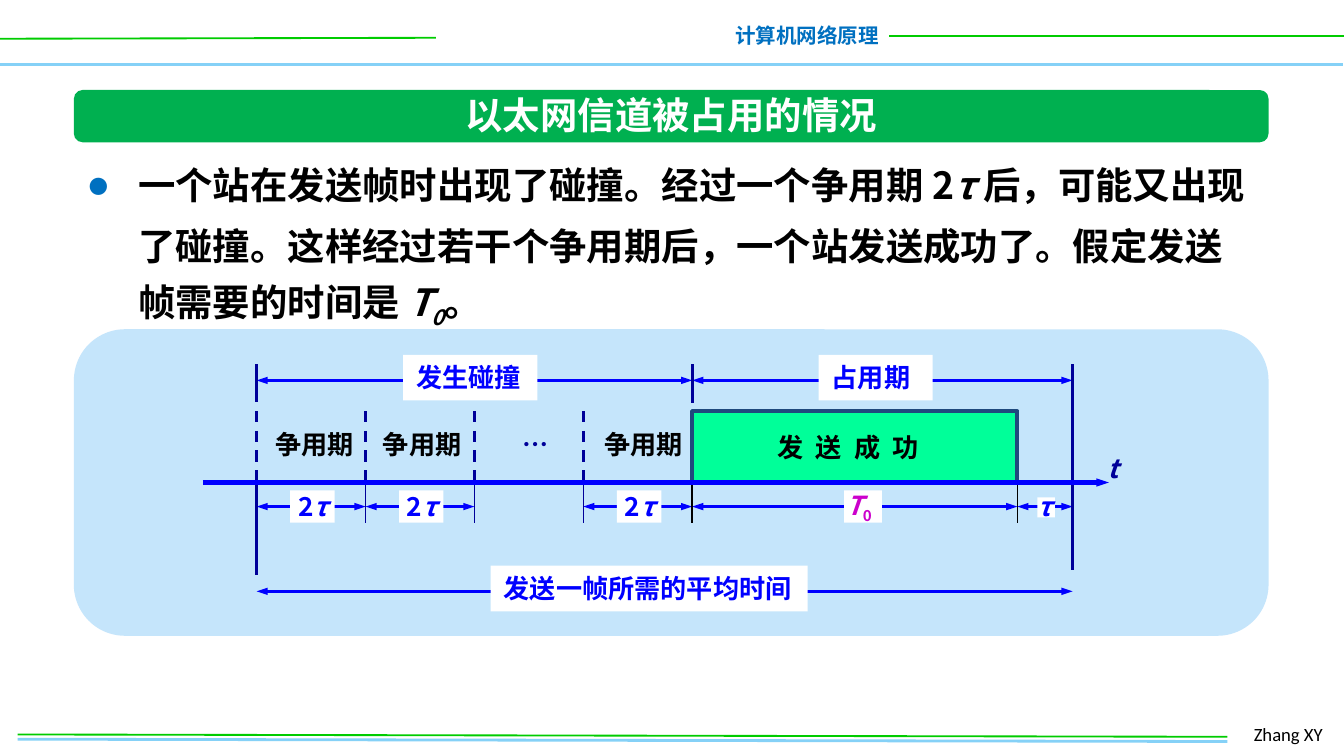
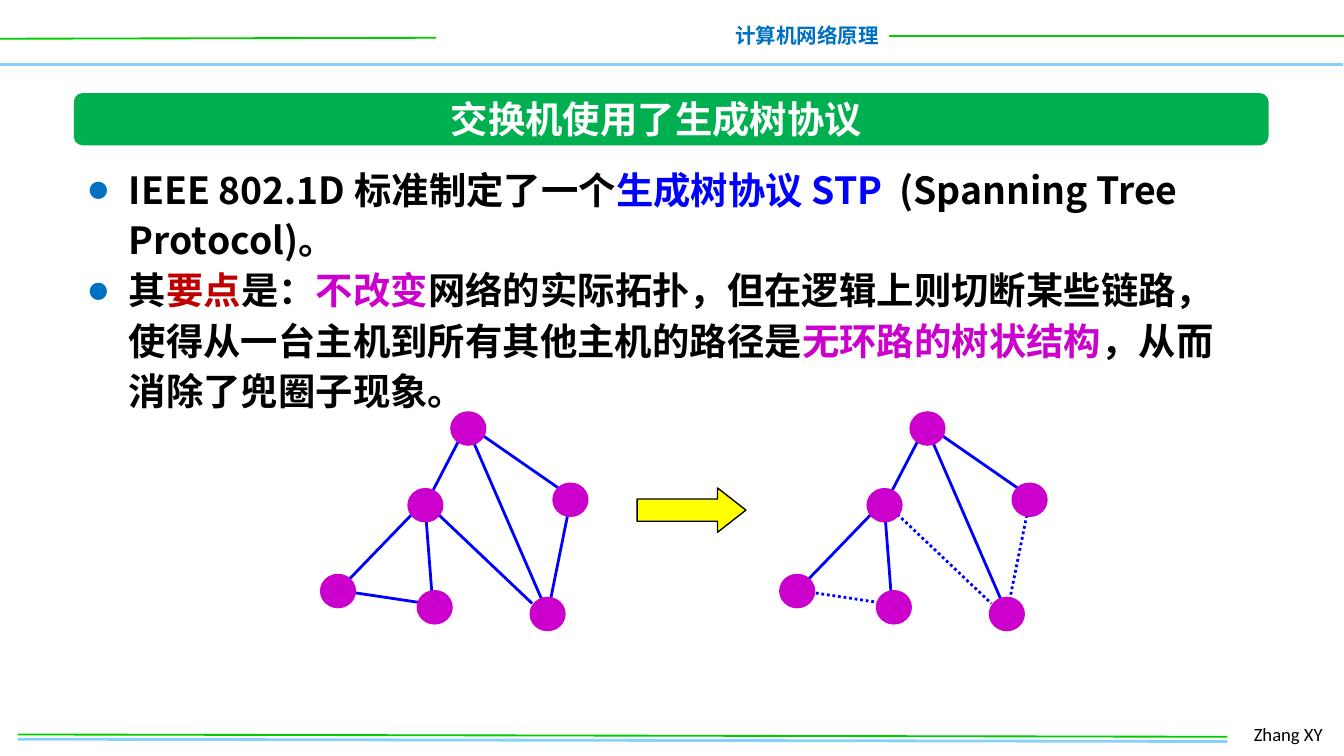
from dataclasses import dataclass

from lxml.etree import SubElement
from pptx import Presentation
from pptx.dml.color import RGBColor
from pptx.enum.dml import MSO_LINE
from pptx.enum.shapes import MSO_CONNECTOR, MSO_SHAPE
from pptx.enum.text import MSO_ANCHOR, PP_ALIGN
from pptx.oxml.ns import qn
from pptx.util import Pt


@dataclass(frozen=True)
class Theme:
    font: str = "Noto Sans CJK SC"
    footer_font: str = "Calibri"
    black: str = "000000"
    white: str = "FFFFFF"
    blue: str = "0000FF"
    navy: str = "000099"
    magenta: str = "CC00CC"
    red: str = "C00000"
    header_blue: str = "0070C0"
    rule_green: str = "00CC00"
    rule_blue: str = "85D1F7"
    title_green: str = "00B050"
    panel: str = "C5E5FB"
    frame_fill: str = "00FF99"
    frame_line: str = "1F497D"
    yellow: str = "FFFF00"
    body_size: float = 20
    label_size: float = 14
    header_size: float = 11
    footer_size: float = 10


THEME = Theme()

# Shared header and footer: start, end, colour, width
RULES = [
    ((-0.5, 34.5), (719.5, 34.5), THEME.rule_blue, 2),
    ((0, 20.75), (233.5, 20.25), THEME.rule_green, 1),
    ((476.5, 19.5), (720.5, 19.5), THEME.rule_green, 1),
    ((9.5, 396), (657.5, 397.25), THEME.rule_blue, 1.5),
    ((9.5, 393.5), (657.5, 394.75), THEME.rule_green, 1),
]
COURSE, AUTHOR = "计算机网络原理", "Zhang XY"

# A run is its text and what differs from the style of its box
ITALIC = {"italic": True}
CHANNEL = {
    "title": "以太网信道被占用的情况",
    "title_box": (241.2, 46.1, 236.9, 31.7),
    "bar_top": 48.25,
    "body_box": (39.6, 74.2, 640, 107.3),
    "indent": 27.36,
    "line_spacing": 33,
    "body": [[
        ("一个站在发送帧时出现了碰撞。经过一个争用期 2", {}),
        ("τ ", ITALIC),
        ("后，可能又出现了碰撞。这样经过若干个争用期后，一个站发送成功了。"
         "假定发送帧需要的时间是 ", {}),
        ("T", ITALIC),
        ("0", {"italic": True, "subscript": True}),
        ("。", {}),
    ]],
}
SPANNING_TREE = {
    "title": "交换机使用了生成树协议",
    "title_box": (233.3, 48.2, 236.9, 31.7),
    "bar_top": 49.9,
    "body_box": (39.6, 82.8, 637.2, 143.3),
    "indent": 22.32,
    "line_spacing": 27,
    "body": [
        [
            ("IEEE 802.1D 标准制定了一个", {}),
            ("生成树协议 STP  ", {"color": THEME.blue}),
            ("(Spanning Tree Protocol)。", {}),
        ],
        [
            ("其", {}),
            ("要点", {"color": THEME.red}),
            ("是：", {}),
            ("不改变", {"color": THEME.magenta}),
            ("网络的实际拓扑，但在逻辑上则切断某些链路，"
             "使得从一台主机到所有其他主机的路径是", {}),
            ("无环路的树状结构", {"color": THEME.magenta}),
            ("，从而消除了兜圈子现象。", {}),
        ],
    ],
}

# Time line: horizontal positions of the slots and vertical positions of the rows
SLOT = 58.33
SLOT_STARTS = [137.5 + SLOT * number for number in range(4)]
START = SLOT_STARTS[0]
FRAME_START, FRAME_END, END = START + 4 * SLOT, 545, 574.6
TOP, FRAME_TOP, AXIS, TICK_END = 195.1, 220.3, 258.5, 280.1
PHASE_ROW, SLOT_ROW, TOTAL_ROW = 203.8, 271.4, 316.8
CONTENTION = {0: 2.9, 1: 2.2, 3: 4.3}  # slot number: label offset

SPANS = [
    (START, END, TOTAL_ROW),
    (START, FRAME_START, PHASE_ROW),
    (FRAME_START, END, PHASE_ROW),
    (FRAME_END, END, SLOT_ROW),
    (FRAME_START, FRAME_END, SLOT_ROW),
] + [(SLOT_STARTS[n], SLOT_STARTS[n] + SLOT, SLOT_ROW) for n in CONTENTION]

TICKS = [(x, FRAME_TOP, AXIS, THEME.navy, 1.5, MSO_LINE.DASH) for x in SLOT_STARTS]
TICKS += [(x, AXIS, TICK_END, THEME.navy, 0.75, None) for x in SLOT_STARTS[1:]]
TICKS += [(x, AXIS, TICK_END, THEME.black, 0.75, None) for x in (FRAME_START, FRAME_END)]
TICKS += [(x, top, bottom, THEME.navy, 1.5, None) for x, top, bottom in [
    (START, TOP, 215.3), (START, 257, 308.2), (FRAME_START, TOP, 216),
    (END, TOP, AXIS), (END, AXIS, 305.3)]]

LABEL_HEIGHT = 24.5
PATCHES = [(555.8, 266.4, 9.4, 10.8), (452.2, 262.8, 20.2, 17.3)]
PATCHES += [(SLOT_STARTS[n] + 18, 262.8, 23.8, 17.3) for n in CONTENTION]

# Runs, left, top, width, colour, white background
LABELS = [
    ([("占用期", {})], 438.5, 190.1, 61.2, THEME.blue, True),
    ([("发生碰撞", {})], 216, 190.1, 72, THEME.blue, True),
    ([("发送一帧所需的平均时间", {})], 262.8, 303.1, 169.9, THEME.blue, True),
    ([("发  送  成  功", {})], 409.7, 227.5, 100, THEME.black, False),
    ([("…", {})], 272.9, 226.1, 28, THEME.navy, False),
    ([("T", ITALIC), ("0", {"subscript": True})], 446.4, 258.5, 29.5, THEME.magenta, False),
    ([("τ", ITALIC)], 548.6, 259.2, 20.9, THEME.blue, False),
    ([("t", ITALIC)], 586.1, 239, 20.2, THEME.navy, False),
]
for number, offset in CONTENTION.items():
    left = SLOT_STARTS[number]
    LABELS.append(([("争用期", {})], left + offset, 226.1, 61.2, THEME.black, False))
    LABELS.append(([("2", {}), ("τ", ITALIC)], left + 15.1, 259.2, 33.8, THEME.blue, False))

# Network: node corners, then links with a flag for those the protocol cuts
NODE_SIZE = (19.4, 18.5)
NODES = [(241.2, 220.3), (295.9, 258.5), (283.7, 319.7),
         (171.4, 307.4), (223.2, 316.1), (218.2, 261.4)]
LINKS = [
    ((249.1, 229.7), (228.2, 270), False),
    ((253.4, 229.7), (305.3, 265.7), False),
    ((228.2, 269.3), (285.1, 323.3), True),
    ((305.3, 270), (293.8, 326.9), True),
    ((253.4, 236.2), (290.2, 321.1), False),
    ((185, 312.5), (223.2, 272.9), False),
    ((231.8, 323.3), (227.5, 267.8), False),
    ((228.2, 323.3), (185, 316.8), True),
]
TREE_SHIFT = 246
ARROW_BOX = (341.3, 261.4, 58.3, 23.8)


def points(values):
    return [Pt(value) for value in values]


def rgb(color):
    return RGBColor.from_string(color)


def paint(shape, fill, line=None, width=0.75):
    shape.shadow.inherit = False
    shape.fill.solid()
    shape.fill.fore_color.rgb = rgb(fill)
    if line:
        shape.line.color.rgb = rgb(line)
        shape.line.width = Pt(width)
    else:
        shape.line.fill.background()


def add_block(shapes, kind, box, fill, line=None):
    shape = shapes.add_shape(kind, *points(box))
    paint(shape, fill, line)
    return shape


def add_line(shapes, start, end, color, width, dash=None, arrows=()):
    """Draw a line; arrows holds "headEnd" and/or "tailEnd", in that order."""
    connector = shapes.add_connector(MSO_CONNECTOR.STRAIGHT, *points(start + end))
    connector.line.color.rgb = rgb(color)
    connector.line.width = Pt(width)
    if dash:
        connector.line.dash_style = dash
    properties = connector._element.spPr
    for arrow in arrows:
        SubElement(properties.find(qn("a:ln")), qn(f"a:{arrow}"),
                   type="triangle", w="sm", len="med")
    SubElement(properties, qn("a:effectLst"))


def add_runs(paragraph, runs, size, color, bold=True, font=THEME.font):
    for text, style in runs:
        run = paragraph.add_run()
        run.text = text
        run.font.size = Pt(size)
        run.font.bold = bold
        run.font.italic = style.get("italic", False)
        run.font.color.rgb = rgb(style.get("color", color))
        run.font.name = font
        properties = run.font._element
        SubElement(properties, qn("a:ea"), typeface=font)
        if style.get("subscript"):
            properties.set("baseline", "-25000")


def add_text(shapes, box, runs, size, color, align=PP_ALIGN.LEFT, **style):
    text_box = shapes.add_textbox(*points(box))
    text_box.text_frame.word_wrap = False
    text_box.text_frame.vertical_anchor = MSO_ANCHOR.TOP
    paragraph = text_box.text_frame.paragraphs[0]
    paragraph.alignment = align
    add_runs(paragraph, runs, size, color, **style)
    return text_box


def add_bullet(paragraph, indent):
    properties = paragraph._p.get_or_add_pPr()
    properties.set("marL", str(Pt(indent)))
    properties.set("indent", str(-Pt(indent)))
    bullet_color = SubElement(properties, qn("a:buClr"))
    SubElement(bullet_color, qn("a:srgbClr"), val=THEME.header_blue)
    SubElement(properties, qn("a:buFont"), typeface=THEME.footer_font)
    SubElement(properties, qn("a:buChar"), char="●")


def add_content_slide(presentation, content):
    """Add a slide with header, footer, title bar and bulleted body."""
    shapes = presentation.slides.add_slide(presentation.slide_layouts[6]).shapes
    for rule in RULES:
        add_line(shapes, *rule)
    add_text(shapes, (385.9, 8.6, 92.2, 20.9), [(COURSE, {})], THEME.header_size,
             THEME.header_blue, PP_ALIGN.RIGHT)
    add_text(shapes, (664.6, 383.8, 53.3, 19.4), [(AUTHOR, {})], THEME.footer_size,
             THEME.black, bold=False, font=THEME.footer_font)

    body = shapes.add_textbox(*points(content["body_box"])).text_frame
    body.word_wrap = True
    for number, runs in enumerate(content["body"]):
        paragraph = body.add_paragraph() if number else body.paragraphs[0]
        paragraph.line_spacing = Pt(content["line_spacing"])
        add_bullet(paragraph, content["indent"])
        add_runs(paragraph, runs, THEME.body_size, THEME.black)

    add_block(shapes, MSO_SHAPE.ROUNDED_RECTANGLE, (39.6, content["bar_top"], 640, 28),
              THEME.title_green)
    add_text(shapes, content["title_box"], [(content["title"], {})], THEME.body_size,
             THEME.white, PP_ALIGN.CENTER)
    return shapes


def add_time_line(shapes):
    add_block(shapes, MSO_SHAPE.ROUNDED_RECTANGLE, (39.6, 176.4, 640, 164.2), THEME.panel)
    for left, right, row in SPANS:
        add_line(shapes, (left, row), (right, row), THEME.blue, 1.5,
                 arrows=("headEnd", "tailEnd"))

    outline = shapes.build_freeform(Pt(FRAME_START), Pt(AXIS))
    corners = [(FRAME_START, FRAME_TOP), (FRAME_END, FRAME_TOP), (FRAME_END, AXIS)]
    outline.add_line_segments([points(corner) for corner in corners], close=False)
    paint(outline.convert_to_shape(), THEME.frame_fill, THEME.frame_line, 2.25)

    for x, top, bottom, color, width, dash in TICKS:
        add_line(shapes, (x, top), (x, bottom), color, width, dash)
    for patch in PATCHES:
        add_block(shapes, MSO_SHAPE.RECTANGLE, patch, THEME.white)
    for runs, left, top, width, color, has_background in LABELS:
        label = add_text(shapes, (left, top, width, LABEL_HEIGHT), runs,
                         THEME.label_size, color)
        if has_background:
            paint(label, THEME.white)
    add_line(shapes, (108.7, AXIS), (594, AXIS), THEME.blue, 2.25, arrows=("tailEnd",))


def add_network(shapes, shift=0, cut_dash=None):
    for (x1, y1), (x2, y2), is_cut in LINKS:
        add_line(shapes, (x1 + shift, y1), (x2 + shift, y2), THEME.blue, 1.5,
                 cut_dash if is_cut else None)
    for left, top in NODES:
        add_block(shapes, MSO_SHAPE.OVAL, (left + shift, top, *NODE_SIZE), THEME.magenta)


def main():
    presentation = Presentation()
    presentation.slide_width, presentation.slide_height = Pt(720), Pt(405)

    shapes = add_content_slide(presentation, CHANNEL)
    add_time_line(shapes.add_group_shape().shapes)

    shapes = add_content_slide(presentation, SPANNING_TREE)
    arrow = add_block(shapes, MSO_SHAPE.RIGHT_ARROW, ARROW_BOX, THEME.yellow, THEME.black)
    arrow.adjustments[1] = 0.64
    add_network(shapes.add_group_shape().shapes)
    add_network(shapes.add_group_shape().shapes, TREE_SHIFT, MSO_LINE.ROUND_DOT)

    presentation.save("out.pptx")


if __name__ == "__main__":
    main()
